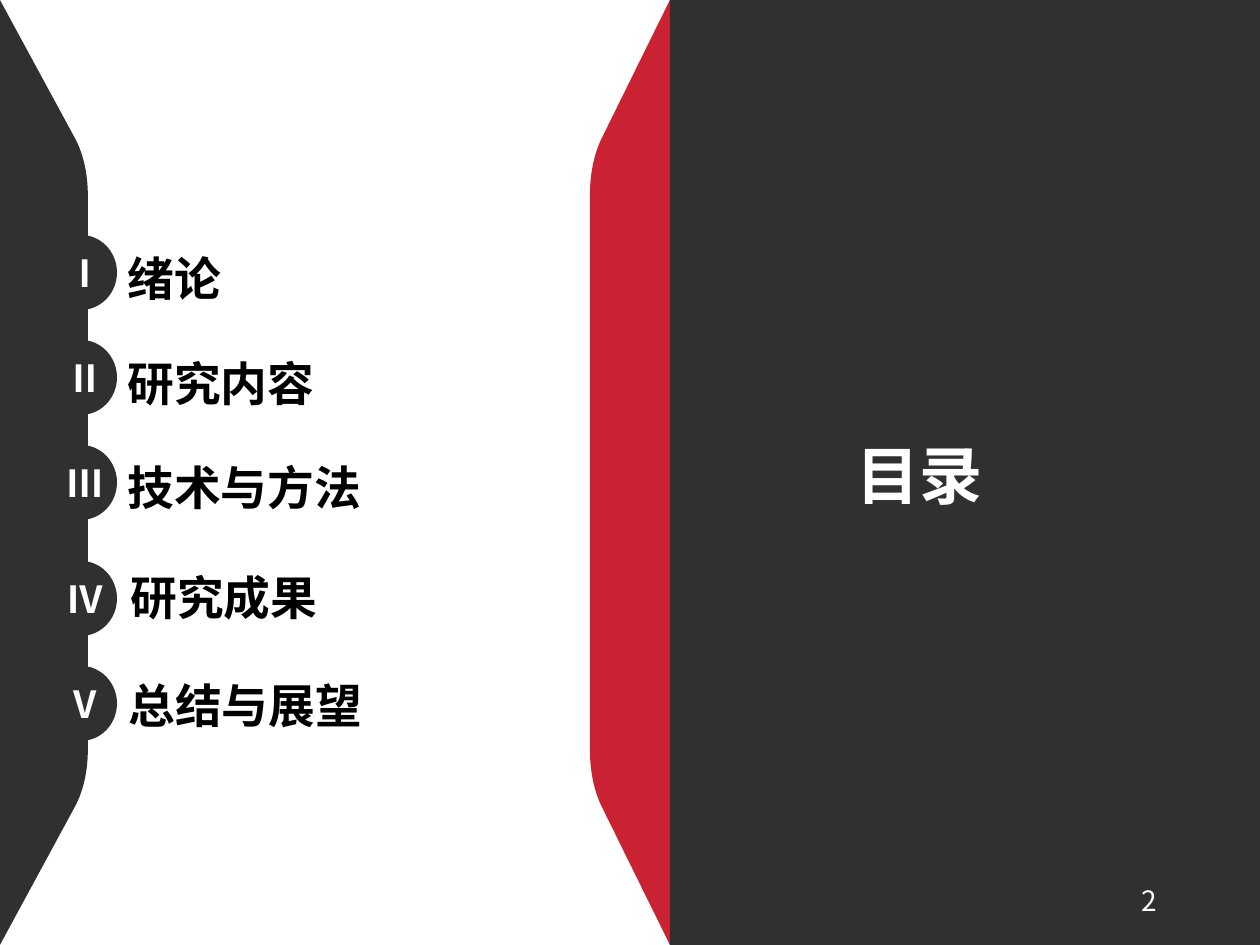
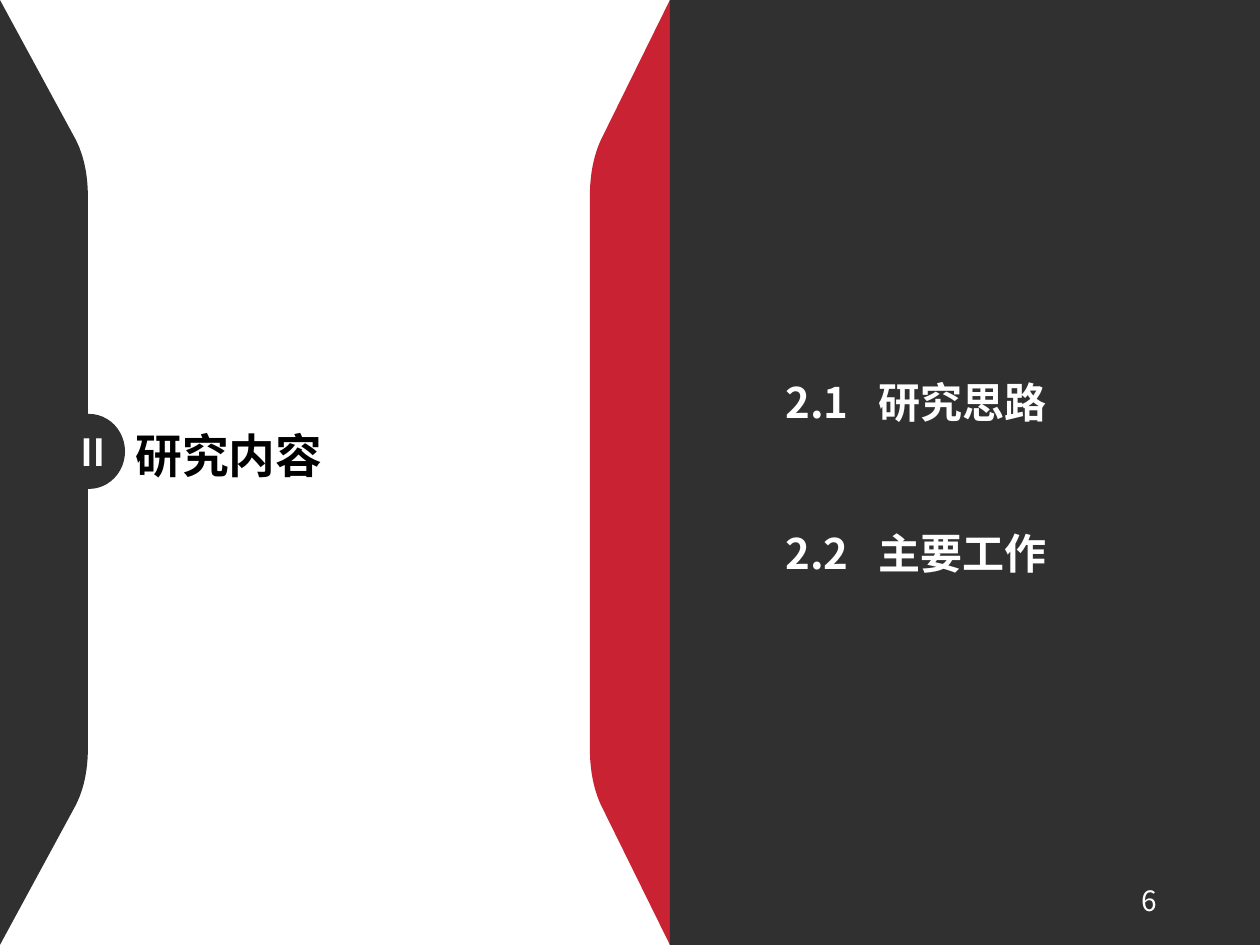
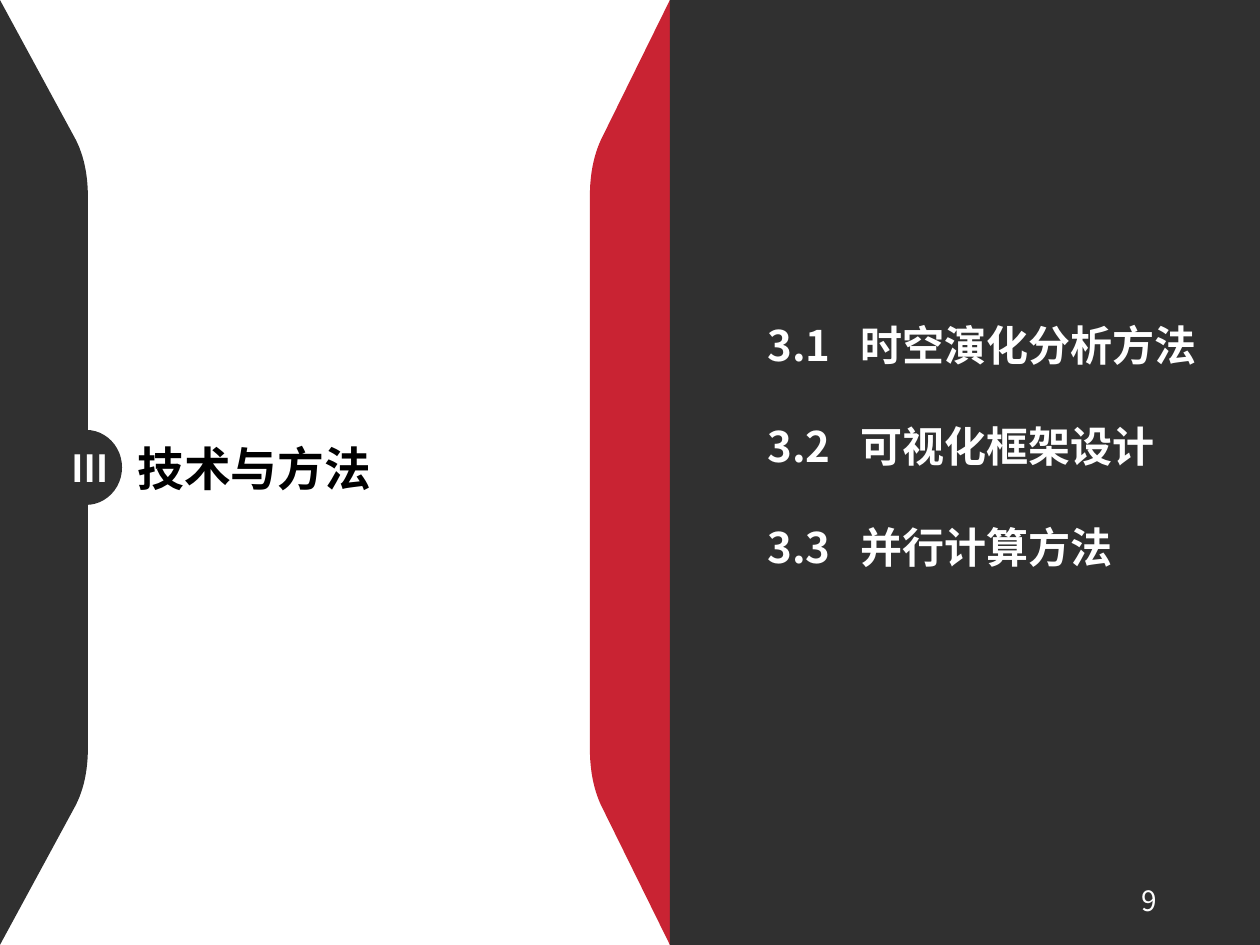
from lxml.etree import SubElement
from pptx import Presentation
from pptx.dml.color import RGBColor
from pptx.enum.shapes import MSO_SHAPE as Preset
from pptx.enum.text import MSO_ANCHOR as Anchor, MSO_AUTO_SIZE as AutoSize, PP_ALIGN as Align
from pptx.oxml.ns import qn
from pptx.util import Emu, Pt

WIDTH, HEIGHT = 1260, 945
COLORS = {"dark": "303030", "red": "C92333", "white": "FFFFFF", "black": "000000"}
FONT = "Noto Sans CJK SC"


def px(length):
    return Emu(round(length * 914400 / 168))


class ThesisDeck:
    """Builds the slides of the talk in one shared style."""

    def __init__(self):
        self.deck = Presentation()
        self.deck.slide_width, self.deck.slide_height = px(WIDTH), px(HEIGHT)
        self.shapes = None

    def add_page(self, number):
        page = self.deck.slides.add_slide(self.deck.slide_layouts[6])
        page.background.fill.solid()
        page.background.fill.fore_color.rgb = RGBColor.from_string(COLORS["white"])
        self.shapes = page.shapes
        self.side_panel(670, 601, 590, "red")
        self.preset(Preset.RECTANGLE, 670, 0, WIDTH - 670, HEIGHT, "dark")
        self.side_panel(0, 76, 88, "dark")
        self.text([number], 890, 875, 284, 50, 12, "white", bold=False,
                  wrap=True, align=Align.RIGHT, anchor=Anchor.MIDDLE)

    def paint(self, shape, color):
        shape.fill.solid()
        shape.fill.fore_color.rgb = RGBColor.from_string(COLORS[color])
        shape.line.fill.background()
        shape.shadow.inherit = False

    def preset(self, kind, left, top, width, height, color):
        shape = self.shapes.add_shape(kind, px(left), px(top), px(width), px(height))
        self.paint(shape, color)

    def side_panel(self, edge, shoulder, waist, color):
        bend = shoulder + (waist - shoulder) * 2 / 3
        controls = [(shoulder, 140), (bend, 156), (waist, 175), (waist, 196)]
        upper = []
        for step in range(13):
            t = step / 12
            weights = ((1 - t) ** 3, 3 * t * (1 - t) ** 2, 3 * t * t * (1 - t), t ** 3)
            upper.append(tuple(sum(w * point[axis] for w, point in zip(weights, controls))
                               for axis in (0, 1)))
        lower = [(x, HEIGHT - y) for x, y in reversed(upper)]
        outline = [(px(x), px(y)) for x, y in upper + lower + [(edge, HEIGHT)]]
        builder = self.shapes.build_freeform(px(edge), 0, scale=1.0)
        builder.add_line_segments(outline, close=True)
        self.paint(builder.convert_to_shape(), color)

    def text(self, lines, left, top, width, height, size, color, bold=True, wrap=False,
             align=Align.LEFT, anchor=Anchor.TOP, spacing=1, gap=0, tab=0):
        box = self.shapes.add_textbox(px(left), px(top), px(width), px(height))
        frame = box.text_frame
        frame.word_wrap = wrap
        frame.auto_size = AutoSize.NONE
        frame.vertical_anchor = anchor
        for index, line in enumerate(lines):
            para = frame.paragraphs[0] if index == 0 else frame.add_paragraph()
            para.alignment = align
            para.line_spacing = float(spacing)
            para.space_after = px(gap)
            if tab:
                stops = SubElement(para._p.get_or_add_pPr(), qn("a:tabLst"))
                SubElement(stops, qn("a:tab"), pos=str(px(tab)), algn="l")
            span = para.add_run()
            span.text = line
            span.font.size = Pt(size)
            span.font.bold = bold
            span.font.color.rgb = RGBColor.from_string(COLORS[color])
            span.font.name = FONT
            SubElement(span._r.get_or_add_rPr(), qn("a:ea"), typeface=FONT)

    def badge(self, numeral, left, top):
        self.preset(Preset.OVAL, left, top, 72, 75, "dark")
        self.text([numeral], left + 5, top + 7, 72, 62, 16, "white")

    def chapter(self, numeral, title, badge_at, title_at):
        self.badge(numeral, *badge_at)
        self.text([title], *title_at, 47 * len(title) + 34, 74, 20, "black")

    def headline(self, title):
        self.text([title], 840, 428, 161, 94, 27, "white")

    def section_list(self, sections, left, top, width, height, spacing=1, gap=0):
        lines = [f"{number}\t{title}" for number, title in sections]
        self.text(lines, left, top, width, height, 18, "white", wrap=True,
                  spacing=spacing, gap=gap, tab=93)


def main():
    talk = ThesisDeck()

    talk.add_page("2")
    talk.headline("目录")
    for numeral, title, badge_top, title_at in (
        ("Ⅰ", "绪论", 235, (111, 242)),
        ("Ⅱ", "研究内容", 340, (111, 347)),
        ("Ⅲ", "技术与方法", 445, (111, 451)),
        ("Ⅳ", "研究成果", 561, (114, 561)),
        ("Ⅴ", "总结与展望", 666, (112, 669)),
    ):
        talk.chapter(numeral, title, (45, badge_top), title_at)

    talk.add_page("6")
    talk.section_list([("2.1", "研究思路"), ("2.2", "主要工作")],
                      769, 267, 326, 526, spacing=3)
    talk.chapter("Ⅱ", "研究内容", (53, 414), (119, 419))

    talk.add_page("9")
    talk.section_list([("3.1", "时空演化分析方法"), ("3.2", "可视化框架设计"),
                       ("3.3", "并行计算方法")], 751, 311, 472, 322, gap=51)
    talk.chapter("Ⅲ", "技术与方法", (50, 430), (121, 432))

    talk.deck.save("out.pptx")


if __name__ == "__main__":
    main()
